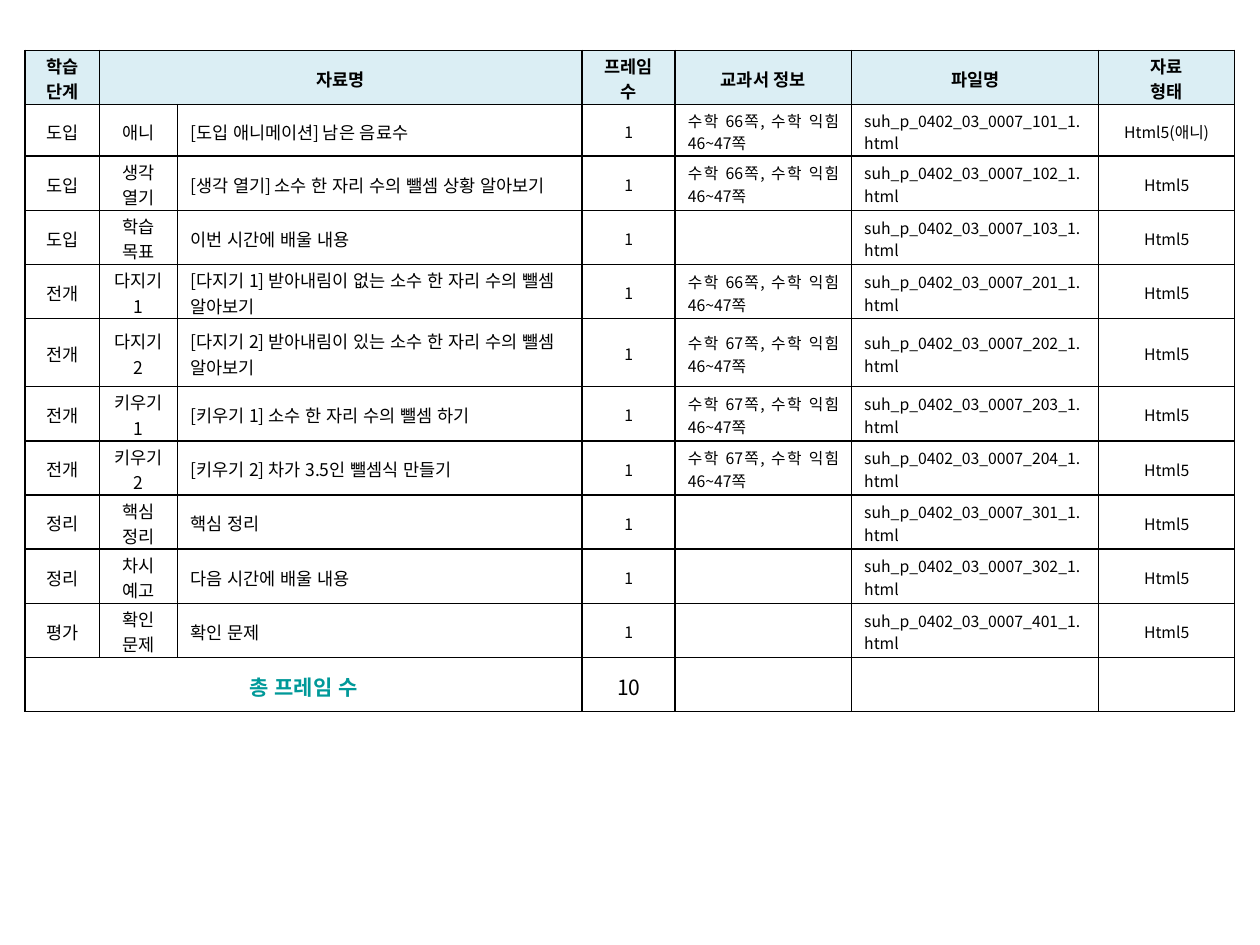
from lxml.etree import SubElement as Sub
from pptx import Presentation
from pptx.dml.color import RGBColor as RGB
from pptx.enum.lang import MSO_LANGUAGE_ID as Lang
from pptx.enum.text import MSO_ANCHOR as Anchor, PP_ALIGN as Align
from pptx.oxml.ns import qn
from pptx.util import Inches, Pt

FONT = "Noto Sans CJK KR"
BLACK = RGB(0x00, 0x00, 0x00)
TEAL = RGB(0x00, 0x99, 0x99)
PALE = RGB(0xDB, 0xEE, 0xF4)

COLS = [0.59, 0.62, 3.21, 0.74, 1.4, 1.96, 1.08]
ROWS = [0.43, 0.41] + [0.43] * 3 + [0.54] + [0.43] * 6
HEAD = ["학습 단계", "자료명", "", "프레임 수", "교과서 정보", "파일명", "자료\n형태"]

# Stage, part, title, textbook page, file number
ITEMS = [
    ("도입", "애니", "[도입 애니메이션] 남은 음료수", 66, 101),
    ("도입", "생각 열기", "[생각 열기] 소수 한 자리 수의 뺄셈 상황 알아보기", 66, 102),
    ("도입", "학습 목표", "이번 시간에 배울 내용", None, 103),
    ("전개", "다지기 1", "[다지기 1] 받아내림이 없는 소수 한 자리 수의 뺄셈 알아보기", 66, 201),
    ("전개", "다지기 2", "[다지기 2] 받아내림이 있는 소수 한 자리 수의 뺄셈 알아보기", 67, 202),
    ("전개", "키우기 1", "[키우기 1] 소수 한 자리 수의 뺄셈 하기", 67, 203),
    ("전개", "키우기 2", "[키우기 2] 차가 3.5인 뺄셈식 만들기", 67, 204),
    ("정리", "핵심 정리", "핵심 정리", None, 301),
    ("정리", "차시 예고", "다음 시간에 배울 내용", None, 302),
    ("평가", "확인 문제", "확인 문제", None, 401),
]
# Size and alignment of each column in the body rows
STYLES = [(10, Align.CENTER), (10, Align.CENTER), (10, Align.LEFT),
          (9, Align.CENTER), (9, Align.JUSTIFY), (9, Align.JUSTIFY),
          (9, Align.CENTER)]


def write(cell, text, size=10, bold=False, color=BLACK, align=Align.CENTER):
    cell.text = text
    cell.vertical_anchor = Anchor.MIDDLE
    # Tight margins let two lines fit the row height
    cell.margin_top, cell.margin_bottom = Inches(0.02), 0
    for para in cell.text_frame.paragraphs:
        para.alignment = align
        para.font.size = Pt(size)
        for run in para.runs:
            font = run.font
            font.size, font.bold, font.name = Pt(size), bold, FONT
            font.color.rgb = color
            font.language_id = Lang.KOREAN
            Sub(run._r.rPr, qn("a:ea"), typeface=FONT)


def frame(cell, fill=None):
    props = cell._tc.get_or_add_tcPr()
    for side in ("a:lnL", "a:lnR", "a:lnT", "a:lnB"):
        line = Sub(props, qn(side), w=str(Pt(1)))
        Sub(Sub(line, qn("a:solidFill")), qn("a:srgbClr"), val=str(BLACK))
    if fill is None:
        cell.fill.background()
    else:
        cell.fill.solid()
        cell.fill.fore_color.rgb = fill


def add_grid(slide):
    grid = slide.shapes.add_table(
        len(ROWS), len(COLS), Inches(0.2), Inches(0.4),
        Inches(sum(COLS)), Inches(sum(ROWS))).table
    grid.first_row = grid.horz_banding = False
    for col, width in zip(grid.columns, COLS):
        col.width = Inches(width)
    for row, height in zip(grid.rows, ROWS):
        row.height = Inches(height)
    return grid


def fill_item(grid, row, item):
    stage, part, title, page, num = item
    book = f"수학 {page}쪽, 수학 익힘 46~47쪽" if page else ""
    kind = "Html5(애니)" if part == "애니" else "Html5"
    texts = [stage, part, title, "1", book,
             f"suh_p_0402_03_0007_{num}_1.html", kind]
    for col, (text, (size, align)) in enumerate(zip(texts, STYLES)):
        cell = grid.cell(row, col)
        write(cell, text, size=size, align=align)
        frame(cell)


def main():
    deck = Presentation()
    deck.slide_width, deck.slide_height = Inches(10), Inches(7.5)
    slide = deck.slides.add_slide(deck.slide_layouts[6])
    grid = add_grid(slide)

    # Header row
    for col, text in enumerate(HEAD):
        write(grid.cell(0, col), text, bold=True)
        frame(grid.cell(0, col), PALE)
    grid.cell(0, 1).merge(grid.cell(0, 2))

    # Body rows
    for row, item in enumerate(ITEMS, 1):
        fill_item(grid, row, item)

    # Total row
    last = len(ROWS) - 1
    for col in range(len(COLS)):
        write(grid.cell(last, col), "")
        frame(grid.cell(last, col))
    grid.cell(last, 0).merge(grid.cell(last, 2))
    write(grid.cell(last, 0), "총 프레임 수", size=12, bold=True, color=TEAL)
    write(grid.cell(last, 3), str(len(ITEMS)), size=12)

    deck.save("out.pptx")


if __name__ == "__main__":
    main()
